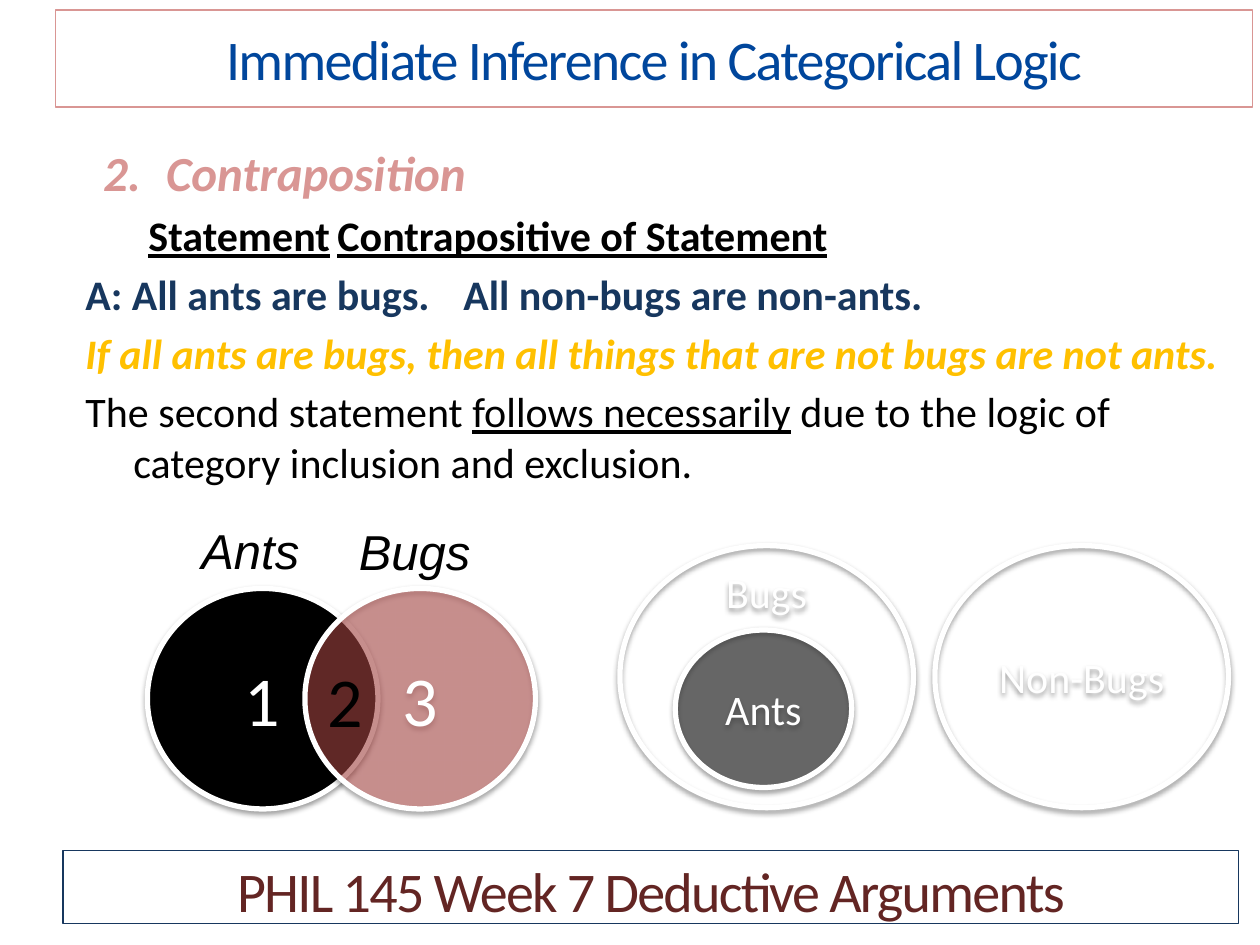
from pptx import Presentation, util as u
from pptx.dml.color import RGBColor
from pptx.enum import shapes, text
from pptx.oxml import parse_xml
from pptx.oxml.ns import nsdecls, qn
from lxml import etree

Inches, Pt = u.Inches, u.Pt
CENTER = text.PP_ALIGN.CENTER
MIDDLE = text.MSO_ANCHOR.MIDDLE


def paint(color_format, hex_color):
    color_format.rgb = RGBColor.from_string(hex_color)


def add_run(paragraph, words, size, color, font="Calibri", bold=False, italic=False,
            underline=False, spacing=0):
    run = paragraph.add_run()
    run.text = words
    run.font.name, run.font.size = font, Pt(size)
    run.font.bold, run.font.italic, run.font.underline = bold, italic, underline
    paint(run.font.color, color)
    if spacing:
        run._r.get_or_add_rPr().set("spc", str(spacing * 100))


def place(part, box):
    part.left, part.top, part.width, part.height = map(Inches, box)


def add_banner(banner, words, text_color, line_color, anchor):
    banner.fill.background()
    paint(banner.line.color, line_color)
    banner.line.width = Pt(0.75)
    frame = banner.text_frame
    frame.word_wrap = True
    frame.vertical_anchor = anchor
    frame.paragraphs[0].alignment = CENTER
    add_run(frame.paragraphs[0], words, 32, text_color, spacing=-1)


def add_title(slide, box):
    title = slide.shapes.title
    place(title, box)
    add_banner(title, "Immediate Inference in Categorical Logic", "00469C", "D99694", MIDDLE)


def add_footer(slide, box):
    footer = slide.shapes.add_shape(shapes.MSO_SHAPE.RECTANGLE, *map(Inches, box))
    footer.shadow.inherit = False
    add_banner(footer, "PHIL 145 Week 7 Deductive Arguments", "632523", "17375E",
               text.MSO_ANCHOR.TOP)


def set_indent(paragraph, margin, first_line):
    props = paragraph._p.get_or_add_pPr()
    props.set("marL", str(Inches(margin)))
    props.set("indent", str(Inches(first_line)))
    return props


def add_tab_stop(props, position):
    stops = etree.SubElement(props, qn("a:tabLst"))
    etree.SubElement(stops, qn("a:tab"), pos=str(Inches(position)), algn="l")


def add_explanation(slide, box):
    frame = slide.shapes.add_textbox(*map(Inches, box)).text_frame
    frame.word_wrap = True

    heading = frame.paragraphs[0]
    props = set_indent(heading, 0.64, -0.5)
    etree.SubElement(props, qn("a:buFont"), typeface="+mj-lt")
    etree.SubElement(props, qn("a:buAutoNum"), type="arabicPeriod", startAt="2")
    add_run(heading, "Contraposition", 28, "D99694", bold=True, italic=True)

    columns, example, gloss, reason = [frame.add_paragraph() for _ in range(4)]
    for paragraph in (columns, example, gloss, reason):
        paragraph.space_before = Pt(4.8)

    add_tab_stop(set_indent(columns, 0, 0.5), 4.03)
    add_run(columns, "Statement", 24, "000000", bold=True, underline=True)
    add_run(columns, "\t", 24, "000000", bold=True)
    add_run(columns, "Contrapositive of Statement", 24, "000000", bold=True, underline=True)

    add_tab_stop(set_indent(example, 0, 0), 4.61)
    add_run(example, "A: All ants are bugs.\tAll non-bugs are non-ants.", 24, "17375E", bold=True)

    set_indent(gloss, 0.38, -0.38)
    add_run(gloss, "If all ants are bugs, then all things that are not bugs are not ants.",
            24, "FFC000", bold=True, italic=True)

    set_indent(reason, 0.38, -0.38)
    add_run(reason, "The second statement ", 24, "000000")
    add_run(reason, "follows necessarily", 24, "000000", underline=True)
    add_run(reason, " due to the logic of category inclusion and exclusion.", 24, "000000")


def add_circle(slide, box, words, size, fill=None, alpha=100):
    circle = slide.shapes.add_shape(shapes.MSO_SHAPE.OVAL, *map(Inches, box))
    if fill:
        circle.fill.solid()
        paint(circle.fill.fore_color, fill)
        color = circle._element.spPr.find(qn("a:solidFill"))[0]
        etree.SubElement(color, qn("a:alpha"), val=str(alpha * 1000))
    else:
        circle.fill.background()
    paint(circle.line.color, "FFFFFF")
    circle.line.width = Pt(3)
    circle._element.spPr.append(parse_xml(
        f'<a:effectLst {nsdecls("a")}><a:outerShdw blurRad="{Pt(3.1)}" dist="{Pt(1.6)}" '
        'dir="5400000" rotWithShape="0"><a:srgbClr val="000000"><a:alpha val="38000"/>'
        '</a:srgbClr></a:outerShdw></a:effectLst>'))
    frame = circle.text_frame
    frame.vertical_anchor = MIDDLE
    frame.paragraphs[0].alignment = CENTER
    add_run(frame.paragraphs[0], words, size, "FFFFFF")
    return circle


def add_label(slide, box, words, size, font, italic):
    frame = slide.shapes.add_textbox(*map(Inches, box)).text_frame
    frame.word_wrap = False
    add_run(frame.paragraphs[0], words, size, "000000", font=font, italic=italic)


def add_overlap_diagram(slide, left, top):
    circle_top = top + 0.59
    add_circle(slide, (left, circle_top, 1.83, 1.75), "1", 40, "000000")
    add_circle(slide, (left + 1.25, circle_top, 1.83, 1.75), "3", 40, "C0504D", 50)
    add_label(slide, (left + 0.33, top, 0.99, 0.57), "Ants", 28, "Arial", True)
    add_label(slide, (left + 1.58, top + 0.01, 1.1, 0.57), "Bugs", 28, "Arial", True)
    add_label(slide, (left + 1.33, top + 1.09, 0.48, 0.77), "2", 40, "Calibri", False)


def add_inclusion_diagram(slide, left, top):
    bugs = add_circle(slide, (left, top, 2.33, 2.08), "Bugs", 24)
    bugs.text_frame.margin_top = 0
    bugs.text_frame.margin_bottom = Inches(1.34)
    add_circle(slide, (left + 0.44, top + 0.67, 1.4, 1.25), "Ants", 24, "000000", 50)
    add_circle(slide, (left + 2.5, top, 2.33, 2.08), "Non-Bugs", 24)


def main():
    deck = Presentation()
    deck.slide_width, deck.slide_height = Inches(10), Inches(7.5)
    slide = deck.slides.add_slide(deck.slide_layouts[5])
    add_title(slide, (0.44, 0.08, 9.5, 0.77))
    add_explanation(slide, (0.58, 1.08, 9.42, 3))
    add_overlap_diagram(slide, 1.17, 4.08)
    add_inclusion_diagram(slide, 4.92, 4.33)
    add_footer(slide, (0.5, 6.75, 9.33, 0.58))
    deck.save("out.pptx")


if __name__ == "__main__":
    main()
